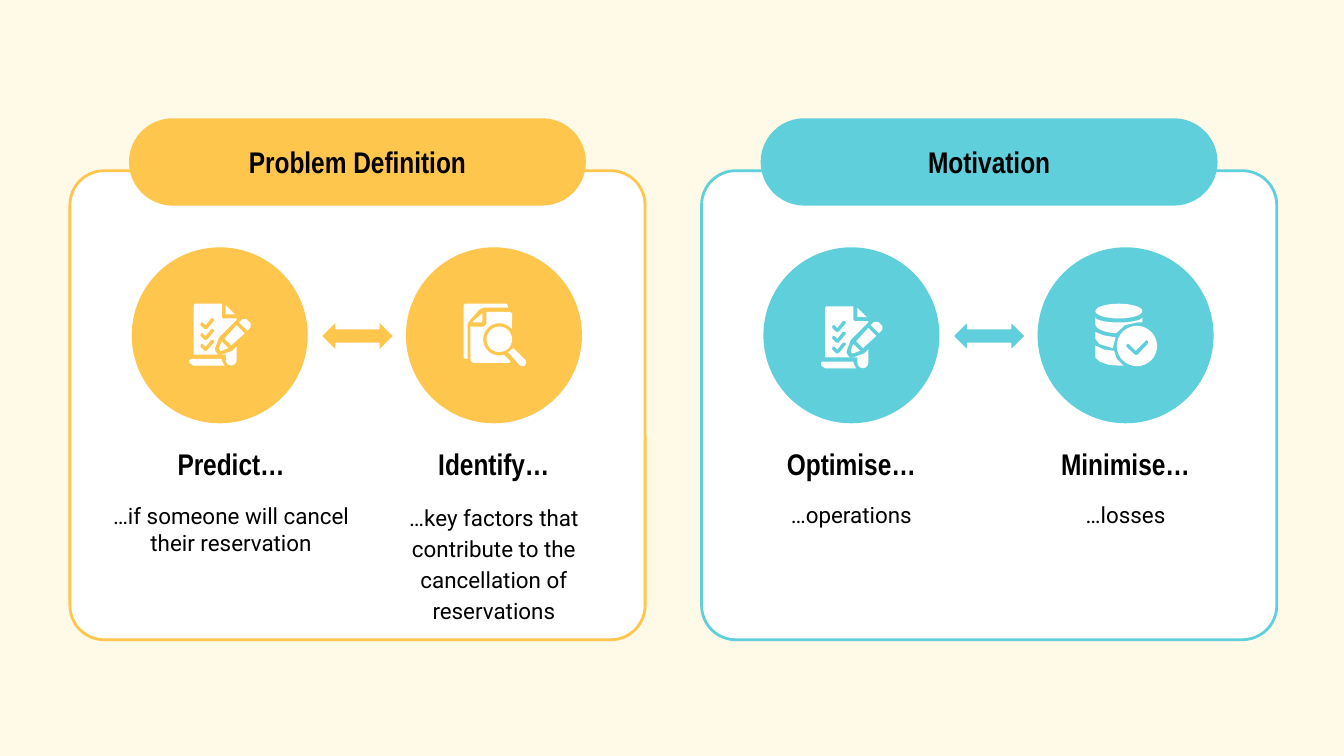
from dataclasses import dataclass
from math import cos, radians, sin

from pptx import Presentation
from pptx.dml.color import RGBColor
from pptx.enum.shapes import MSO_SHAPE
from pptx.enum.text import MSO_ANCHOR, MSO_AUTO_SIZE, PP_ALIGN
from pptx.util import Inches, Pt

CELL = Inches(0.01)  # side of one square grid cell


@dataclass(frozen=True)
class Theme:
    page: str = "FFF9E7"
    card: str = "FFFFFF"
    ink: str = "000000"
    yellow: str = "FFC64E"
    teal: str = "5FD0DB"
    head_font: str = "Arial Narrow"
    body_font: str = "Roboto"
    head_size: int = 16
    body_size: int = 12


@dataclass(frozen=True)
class Box:
    """Area of the slide, in grid cells."""
    col: float
    row: float
    cols: float
    rows: float

    def inner(self, col, row, cols, rows):
        return Box(self.col + col, self.row + row, cols, rows)

    def emu(self):
        return [round(v * CELL) for v in (self.col, self.row, self.cols, self.rows)]


@dataclass(frozen=True)
class Item:
    icon: list
    caption: str
    text: str
    text_rows: int
    icon_row: int = 42
    text_shift: float = 0
    spacing: float = 1.0


THEME = Theme()


def arc(cx, cy, rx, ry, start=0, end=360, steps=32):
    """Points along an ellipse, angles in degrees, clockwise from the right."""
    angles = [radians(start + (end - start) * i / steps) for i in range(steps + 1)]
    return [(cx + rx * cos(a), cy + ry * sin(a)) for a in angles]


# Each icon is a list of shapes; each shape is a list of outlines in a 46-cell square.
TICK = [(16, 11), (18, 11), (18.5, 12.5), (13, 19), (11, 19), (8, 16), (8.5, 14), (10, 14), (12, 16)]
CHECKLIST = [
    [[(3, 1), (4, 0), (24, 0), (24, 10), (25, 11), (35, 11), (35, 12), (22, 25), (19, 33),
      (19, 35), (21, 38), (24, 38), (32, 35), (35, 32), (35, 42), *arc(31, 42, 4, 4, 0, 180, 12),
      (27, 38), (3, 38)],
     *[[(x, y + drop) for x, y in TICK] for drop in (0, 8, 16)]],
    [[(37, 14), (39.5, 11.5), (42.5, 11.5), (45.5, 14.5), (45.5, 17.5), (43, 20)]],
    [[(24, 28), (22, 33), (23, 35), (24, 35), (29, 33)]],
    [[(35, 16), (26, 26), (31, 31), (41, 22)]],
    [[(27, 1), (27, 8), (34, 8)]],
    [[(1, 41), (24, 41), (24, 42), (26, 46), (3, 46), (0, 44), (0, 42)]],
]
SEARCH = [
    [[(1, 0), (32, 0), (33, 2), (33, 3), (15, 3), (12, 4), (4, 13), (3, 15), (3, 41),
      (1, 41), (0, 40), (0, 1)]],
    [[(14, 7), (6, 14), (14, 14)]],
    [arc(26.5, 26.5, 9.5, 9.5)],
    [[(17, 6), (34, 6), (36, 7), *arc(26.5, 26.5, 12, 12, -38, -287), (35, 43), (34, 44),
      (7, 44), (5, 42), (5, 17), (15, 17), (17, 15)]],
    [[(37, 33), (46, 42), (46.5, 44), (45.5, 46), (44, 46.5), (42, 46), (33, 36)]],
]
DATABASE = [
    [arc(17.5, 5.5, 17.5, 5.5)],
    [[*arc(17.5, 10, 17.5, 4, 0, 180), *arc(17, 15, 17, 7, 180, 95), (22, 16), (31, 14), (35, 14)]],
    [[(0, 21), (0, 26), (3, 30), (13, 33), (15, 25), (6, 23.5)]],
    [[(0, 31), (0, 40), (3, 43), (10, 45.5), (17, 46), (21, 46), (16, 41), (14, 35), (6, 34)]],
    [arc(31, 31.5, 15, 15),
     [(38, 27), (39.5, 28), (39, 30), (31.5, 38), (29.5, 38), (23, 32), (23.5, 30), (25, 30),
      (30, 35), (37, 28)]],
]

PANELS = [
    ("Problem Definition", THEME.yellow, [
        Item(CHECKLIST, "Predict…", "…if someone will cancel their reservation", 61, text_shift=8.5),
        Item(SEARCH, "Identify…", "…key factors that contribute to the cancellation of reservations",
             110, spacing=1.15)]),
    ("Motivation", THEME.teal, [
        Item(CHECKLIST, "Optimise…", "…operations", 40, icon_row=44),
        Item(DATABASE, "Minimise…", "…losses", 40)]),
]


def paint(shape, fill, line=None, width=1.5):
    shape.shadow.inherit = False
    shape.fill.solid()
    shape.fill.fore_color.rgb = RGBColor.from_string(fill)
    if line:
        shape.line.color.rgb = RGBColor.from_string(line)
        shape.line.width = Pt(width)
    else:
        shape.line.fill.background()


def add_preset(s, kind, box, fill, line=None, width=1.5, adjust=None):
    shape = s.shapes.add_shape(kind, *box.emu())
    if adjust is not None:
        shape.adjustments[0] = adjust
    paint(shape, fill, line, width)


def set_text(sp, text, font, size, bold=False, insets=(0.2, 0), spacing=1.0):
    tf = sp.text_frame
    tf.text = text
    tf.word_wrap = True
    tf.auto_size = MSO_AUTO_SIZE.NONE
    tf.vertical_anchor = MSO_ANCHOR.MIDDLE
    tf.margin_left = tf.margin_right = Inches(insets[0])
    tf.margin_top = tf.margin_bottom = Inches(insets[1])
    p = tf.paragraphs[0]
    p.alignment = PP_ALIGN.CENTER
    p.line_spacing = spacing
    p.space_before = Pt(0)
    r = p.runs[0]
    r.font.name, r.font.size, r.font.bold = font, Pt(size), bold
    r.font.color.rgb = RGBColor.from_string(THEME.ink)


def add_icon(s, icon, box):
    left, top = box.emu()[:2]
    group = s.shapes.add_group_shape()
    for outlines in icon:
        scaled = [[(x * CELL, y * CELL) for x, y in outline] for outline in outlines]
        builder = group.shapes.build_freeform(*scaled[0][0])
        builder.add_line_segments(scaled[0][1:])
        for outline in scaled[1:]:
            builder.move_to(*outline[0])
            builder.add_line_segments(outline[1:])
        paint(builder.convert_to_shape(left, top), THEME.card)


def add_item(s, box, item, color):
    """Circle with icon, caption and text, centred on a 131-cell wide column."""
    add_preset(s, MSO_SHAPE.OVAL, box.inner(0, 0, 131, 131), color)
    add_icon(s, item.icon, box.inner(43, item.icon_row, 46, 46))
    middle = box.cols / 2 + item.text_shift
    caption = s.shapes.add_textbox(*box.inner(middle - 98, 143, 196, 36).emu())
    set_text(caption, item.caption, THEME.head_font, THEME.head_size, bold=True)
    body = s.shapes.add_textbox(*box.inner(middle - 109, 179, 218, item.text_rows).emu())
    set_text(body, item.text, THEME.body_font, THEME.body_size, insets=(0.1, 0.1),
             spacing=item.spacing)


def add_panel(s, box, heading, title, color, items):
    add_preset(s, MSO_SHAPE.ROUNDED_RECTANGLE, box.inner(0, 39, box.cols, box.rows - 39),
               THEME.card, color, adjust=0.073)
    add_preset(s, MSO_SHAPE.ROUNDED_RECTANGLE, box.inner(44, 0, 340, 65), color, adjust=0.5)
    heading.left, heading.top, heading.width, heading.height = box.inner(90, 14, 248, 36).emu()
    set_text(heading, title, THEME.head_font, THEME.head_size, bold=True)
    heading.element.getparent().append(heading.element)  # bring in front of the pill
    for i, item in enumerate(items):
        add_item(s, box.inner(46 + 204 * i, 96, 131, 292), item, color)
    add_preset(s, MSO_SHAPE.LEFT_RIGHT_ARROW, box.inner(187, 151, 54, 22), color, THEME.card, 0.75)


def main():
    prs = Presentation()
    prs.slide_width, prs.slide_height = Inches(10), Inches(5.625)
    s = prs.slides.add_slide(prs.slide_layouts.get_by_name("Comparison"))
    s.background.fill.solid()
    s.background.fill.fore_color.rgb = RGBColor.from_string(THEME.page)
    placeholders = {ph.placeholder_format.idx: ph for ph in s.placeholders}
    headings = [placeholders.pop(idx) for idx in (1, 3)]
    for unused in placeholders.values():
        unused.element.getparent().remove(unused.element)
    for i, (heading, panel) in enumerate(zip(headings, PANELS)):
        add_panel(s, Box(52 + 470 * i, 88, 428, 388), heading, *panel)
    prs.save("out.pptx")


if __name__ == "__main__":
    main()
